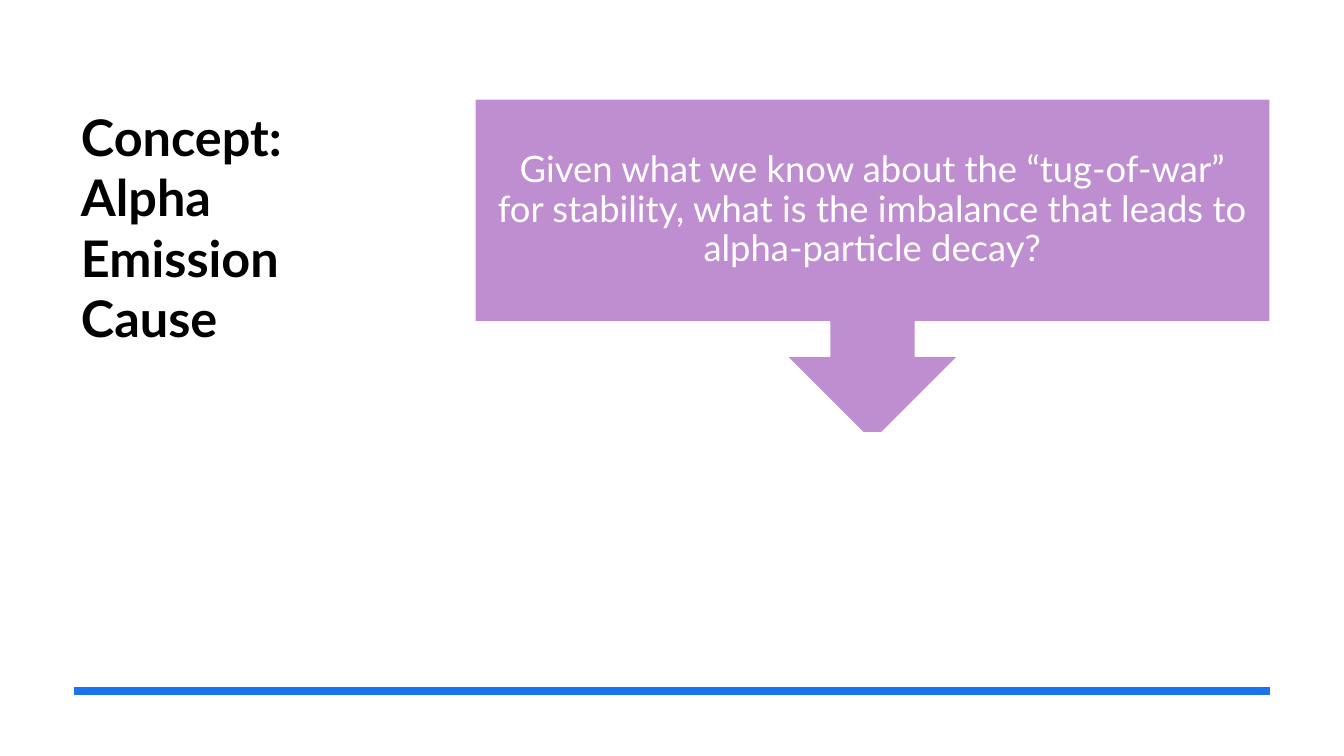
from dataclasses import dataclass

from lxml import etree
from pptx import Presentation
from pptx.dml.color import RGBColor
from pptx.enum.shapes import MSO_CONNECTOR, MSO_SHAPE
from pptx.enum.text import MSO_ANCHOR, PP_ALIGN
from pptx.oxml.ns import qn
from pptx.util import Pt

EMU_PER_PX = 914400 / 100.8
STRAIGHT = MSO_CONNECTOR.STRAIGHT
CALLOUT = MSO_SHAPE.DOWN_ARROW_CALLOUT
RECTANGLE = MSO_SHAPE.RECTANGLE
TOP, MIDDLE = MSO_ANCHOR.TOP, MSO_ANCHOR.MIDDLE
LEFT, CENTER = PP_ALIGN.LEFT, PP_ALIGN.CENTER


@dataclass(frozen=True)
class Theme:
    """Colours, font and type sizes of the slide."""
    font: str = "Lato"
    ink: str = "000000"
    paper: str = "FFFFFF"
    question: str = "BF8ED1"
    rule: str = "1973EB"
    title_size: int = 36
    question_size: int = 26
    rule_width: int = 6
    outline_width: int = 1


THEME = Theme()


def px(length):
    """Turn pixels into EMU."""
    return round(length * EMU_PER_PX)


def color(name):
    """Turn a hex string into a colour."""
    return RGBColor.from_string(name)


def write_text(box, text, size, ink, inset, anchor, align, spacing=1.0, bold=False):
    """Fill a box with one wrapped paragraph."""
    frame = box.text_frame
    frame.word_wrap = True
    frame.vertical_anchor = anchor
    frame.margin_left = frame.margin_right = px(inset[0])
    frame.margin_top = frame.margin_bottom = px(inset[1])
    para = frame.paragraphs[0]
    para.alignment = align
    para.line_spacing = spacing
    span = para.add_run()
    span.text = text
    span.font.name = THEME.font
    span.font.size = Pt(size)
    span.font.bold = bold
    span.font.color.rgb = color(ink)


def add_title(page, left, top, width, height, text):
    """Add the bold slide title."""
    box = page.shapes.add_textbox(px(left), px(top), px(width), px(height))
    write_text(box, text, THEME.title_size, THEME.ink, (10, 5), TOP, LEFT, bold=True)


def add_rule(page, left, right, y):
    """Add the thick line across the foot of the slide."""
    rule = page.shapes.add_connector(STRAIGHT, px(left), px(y), px(right), px(y))
    rule.line.color.rgb = color(THEME.rule)
    rule.line.width = Pt(THEME.rule_width)
    etree.SubElement(rule._element.spPr, qn("a:effectLst"))


def add_block(page, kind, left, top, width, height, fill):
    """Add a filled shape with a thin paper-coloured outline."""
    block = page.shapes.add_shape(kind, px(left), px(top), px(width), px(height))
    block.shadow.inherit = False
    block.fill.solid()
    block.fill.fore_color.rgb = color(fill)
    block.line.color.rgb = color(THEME.paper)
    block.line.width = Pt(THEME.outline_width)
    return block


def main():
    """Build the slide and save it."""
    deck = Presentation()
    deck.slide_width, deck.slide_height = px(1344), px(756)
    page = deck.slides.add_slide(deck.slide_layouts[6])
    add_title(page, 71, 101, 331, 459, "Concept: Alpha Emission Cause")
    add_rule(page, 74, 1270, 691)
    question = add_block(page, CALLOUT, 475, 99, 795, 343, THEME.question)
    write_text(
        question,
        "Given what we know about the “tug-of-war” for stability, "
        "what is the imbalance that leads to alpha-particle decay?",
        THEME.question_size, THEME.paper, (20, 20), MIDDLE, CENTER, spacing=0.9,
    )
    add_block(page, RECTANGLE, 472, 433, 815, 228, THEME.paper)
    deck.save("out.pptx")


if __name__ == "__main__":
    main()
